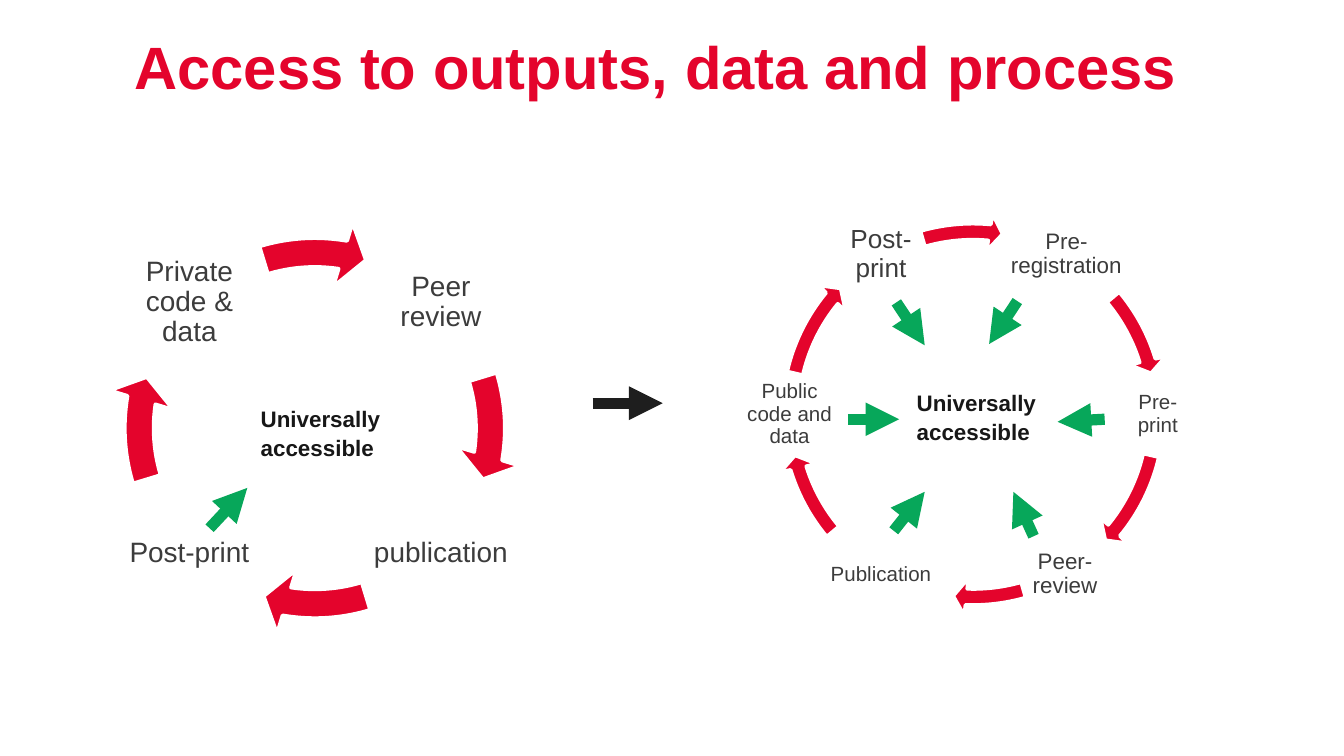
from lxml import etree
from pptx import Presentation
from pptx import util as u
from pptx.dml.color import RGBColor
from pptx.enum import shapes, text
from pptx.oxml.ns import qn

FONT = "Arial"
COLORS = {"red": "E4042C", "green": "07A75A", "black": "1E1E1E",
          "label": "3C3C3C", "hub": "171717", "white": "FFFFFF"}
TITLE = "Access to outputs, data and process"
HUB_LINES = ["Universally", "accessible"]

# label: wording, centre x, centre y, width, font size
CYCLES = [
    {"ring": (56.7, 117.4, 224), "band": (0.069, 4.65, 0.08), "label_height": 79.2,
     "labels": [("Peer review", 236.2, 162, 79.2, 15),
                ("publication", 236.2, 296.6, 79.2, 15),
                ("Post-print", 101.5, 296.6, 79.2, 15),
                ("Private code & data", 101.5, 162, 79.2, 15)],
     "arcs": [(5.51, 205.84), (59.51, 43.84), (113.51, 97.84), (167.51, 151.84)]},
    {"ring": (413.3, 114, 216), "band": (0.04, 2.5, 0.047), "label_height": 44,
     "labels": [("Pre-registration", 571.3, 136.4, 67, 12),
                ("Pre-print", 620.3, 222, 44, 11),
                ("Peer-review", 570.6, 307.8, 44, 12),
                ("Publication", 472, 307.8, 77, 11),
                ("Public code and data", 423, 222, 60, 11),
                ("Post-print", 472, 136.4, 44, 14)],
     "arcs": [(205.73, 192.04), (23.66, 7.77), (55.25, 44.39),
              (97.73, 84.04), (131.66, 115.77), (165.11, 152.39)]},
]
HUBS = [(122.4, 201.6), (473.8, 193)]
HUB_SIZE = (100.8, 59)
ARROWS = [
    ("green", (112.3, 283), (132.5, 261.4)),
    ("black", (317.5, 216), (355, 216)),
    ("green", (478.8, 284.4), (495.4, 263.5)),
    ("green", (553.7, 287.3), (542.9, 263.5)),
    ("green", (545, 161.3), (529.9, 184.3)),
    ("green", (480.2, 162), (495.4, 185)),
    ("green", (591.8, 224.6), (566.6, 226)),
    ("green", (454.3, 224.6), (481.7, 224.6)),
]


def rgb(name):
    return RGBColor.from_string(COLORS[name])


def write(shape, lines, size, color, insets, align, anchor, spacing=1.0, bold=False):
    frame = shape.text_frame
    frame.text = "\n".join(lines)
    frame.word_wrap = True
    frame.vertical_anchor = anchor
    frame.margin_left = frame.margin_right = u.Pt(insets[0])
    frame.margin_top = frame.margin_bottom = u.Pt(insets[1])
    for paragraph in frame.paragraphs:
        paragraph.alignment = align
        paragraph.line_spacing = spacing
        for run in paragraph.runs:
            run.font.name = FONT
            run.font.size = u.Pt(size)
            run.font.bold = bold
            run.font.color.rgb = rgb(color)


def add_label(slide, wording, center_x, center_y, width, height, size):
    box = slide.shapes.add_textbox(u.Pt(center_x - width / 2), u.Pt(center_y - height / 2),
                                   u.Pt(width), u.Pt(height))
    write(box, [wording], size, "label", (1.5, 1.5),
          text.PP_ALIGN.CENTER, text.MSO_ANCHOR.MIDDLE, 0.9)


def add_arc(slide, ring, band, end, start):
    left, top, size = ring
    thickness, head_angle, head_width = band
    arc = slide.shapes.add_shape(shapes.MSO_SHAPE.CIRCULAR_ARROW, u.Pt(left), u.Pt(top),
                                 u.Pt(size), u.Pt(size))
    for index, value in enumerate((thickness, head_angle, end, start, head_width)):
        arc.adjustments[index] = value
    arc.shadow.inherit = False
    arc.fill.solid()
    arc.fill.fore_color.rgb = rgb("red")
    arc.line.color.rgb = rgb("white")
    arc.line.width = u.Pt(2)


def add_arrow(slide, color, begin, end):
    arrow = slide.shapes.add_connector(shapes.MSO_CONNECTOR.STRAIGHT,
                                       *[u.Pt(value) for value in begin + end])
    arrow.line.color.rgb = rgb(color)
    arrow.line.width = u.Pt(6)
    etree.SubElement(arrow.line._get_or_add_ln(), qn("a:tailEnd"), type="triangle")
    etree.SubElement(arrow._element.spPr, qn("a:effectLst"))


def add_hub(slide, left, top):
    hub = slide.shapes.add_shape(shapes.MSO_SHAPE.RECTANGLE, u.Pt(left), u.Pt(top),
                                 *[u.Pt(value) for value in HUB_SIZE])
    hub.shadow.inherit = False
    hub.fill.solid()
    hub.fill.fore_color.rgb = rgb("white")
    hub.line.fill.background()
    write(hub, HUB_LINES, 12, "hub", (17.3, 14.4),
          text.PP_ALIGN.LEFT, text.MSO_ANCHOR.TOP, 1.07, True)


def main():
    presentation = Presentation()
    presentation.slide_width = u.Pt(720)
    presentation.slide_height = u.Pt(405)
    slide = presentation.slides.add_slide(presentation.slide_layouts[6])

    title = slide.shapes.add_textbox(u.Pt(72), u.Pt(7.2), u.Pt(654), u.Pt(56))
    write(title, [TITLE], 32, "red", (0, 8.6),
          text.PP_ALIGN.LEFT, text.MSO_ANCHOR.MIDDLE, bold=True)

    for cycle in CYCLES:
        for label, arc in zip(cycle["labels"], cycle["arcs"]):
            wording, center_x, center_y, width, size = label
            add_label(slide, wording, center_x, center_y, width, cycle["label_height"], size)
            add_arc(slide, cycle["ring"], cycle["band"], *arc)
    for hub in HUBS:
        add_hub(slide, *hub)
    for arrow in ARROWS:
        add_arrow(slide, *arrow)

    presentation.save("out.pptx")


if __name__ == "__main__":
    main()
